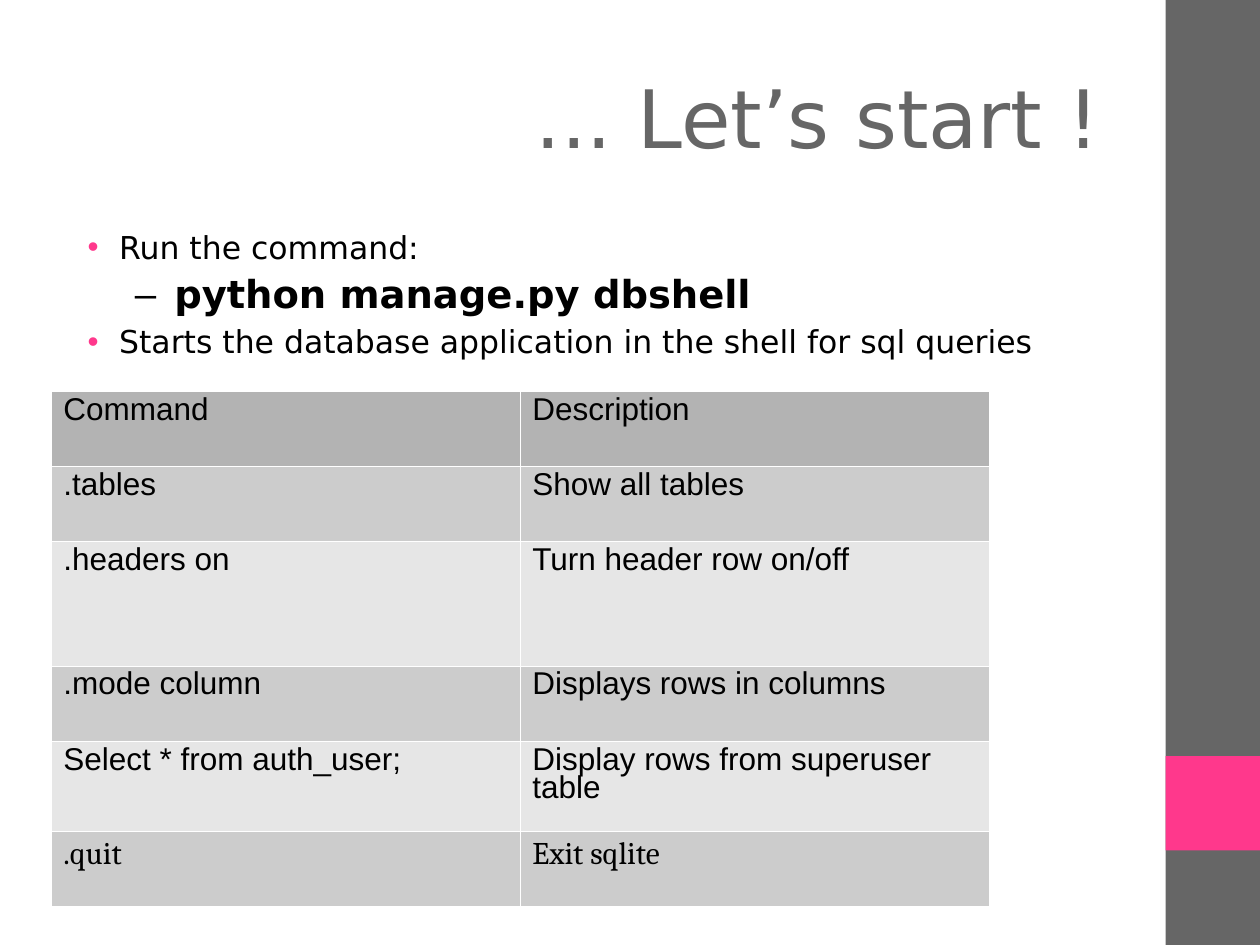
import pptx
import pptx.dml.color
import pptx.enum.shapes
import pptx.enum.text
import pptx.oxml
import pptx.oxml.ns
import pptx.util

Pt = pptx.util.Pt
COLORS = {
    "gray": "666666", "pink": "FF388C", "black": "000000", "white": "FFFFFF",
    "header": "B3B3B3", "dark_band": "CCCCCC", "light_band": "E6E6E6",
}
COMMANDS = [
    ("Command", "Description"),
    (".tables", "Show all tables"),
    (".headers on", "Turn header row on/off"),
    (".mode column", "Displays rows in columns"),
    ("Select * from auth_user;", "Display rows from superuser table"),
    (".quit", "Exit sqlite"),
]
ROW_HEIGHTS = [43, 43, 71, 43, 51.5, 43]
BULLETS = [
    ("Run the command:", 0),
    ("python manage.py dbshell", 1),
    ("Starts the database application in the shell for sql queries", 0),
]
BULLET_STYLES = [
    dict(mark="•", mark_color="pink", left=27, hang=18, size=18, bold=False),
    dict(mark="–", mark_color="black", left=58.5, hang=22.5, size=22, bold=True),
]


def rgb(name):
    return pptx.dml.color.RGBColor.from_string(COLORS[name])


def parse_xml(tag, content, attributes=""):
    namespace = pptx.oxml.ns.nsdecls("a")
    return pptx.oxml.parse_xml(f"<a:{tag} {namespace} {attributes}>{content}</a:{tag}>")


def write(para, text, font="DejaVu Sans", size=18, color="black", bold=False,
          spacing=1.0, align=pptx.enum.text.PP_ALIGN.LEFT):
    para.alignment = align
    para.line_spacing = spacing
    span = para.add_run()
    span.text = text
    span.font.name = font
    span.font.size = Pt(size)
    span.font.bold = bold
    span.font.color.rgb = rgb(color)


def add_text_frame(page, box):
    frame = page.shapes.add_textbox(*map(Pt, box)).text_frame
    frame.word_wrap = True
    return frame


def add_sidebar(page, box):
    left, top, width, height = box
    accent = (left, top + height * 0.8, width, width)
    for area, color in ((box, "gray"), (accent, "pink")):
        block = page.shapes.add_shape(
            pptx.enum.shapes.MSO_SHAPE.RECTANGLE, *map(Pt, area))
        block.shadow.inherit = False
        block.fill.solid()
        block.fill.fore_color.rgb = rgb(color)
        block.line.fill.background()


def add_title(page, box, text):
    frame = add_text_frame(page, box)
    frame.vertical_anchor = pptx.enum.text.MSO_ANCHOR.MIDDLE
    write(frame.paragraphs[0], text, size=46, color="gray",
          align=pptx.enum.text.PP_ALIGN.RIGHT)


def add_bullets(page, box):
    frame = add_text_frame(page, box)
    frame.margin_top = 0
    for index, (text, level) in enumerate(BULLETS):
        style = BULLET_STYLES[level]
        para = frame.add_paragraph() if index else frame.paragraphs[0]
        para.level = level
        para.space_before = Pt(5.5 if index else 0)
        write(para, text, size=style["size"], bold=style["bold"], spacing=0.9)
        properties = para._p.get_or_add_pPr()
        properties.set("marL", str(Pt(style["left"])))
        properties.set("indent", str(-Pt(style["hang"])))
        color = COLORS[style["mark_color"]]
        properties.append(parse_xml("buClr", f'<a:srgbClr val="{color}"/>'))
        properties.append(parse_xml("buFont", "", 'typeface="Arial"'))
        properties.append(parse_xml("buChar", "", f'char="{style["mark"]}"'))


def add_borders(cell):
    fill = f'<a:solidFill><a:srgbClr val="{COLORS["white"]}"/></a:solidFill>'
    properties = cell._tc.get_or_add_tcPr()
    for index, side in enumerate(("lnL", "lnR", "lnT", "lnB")):
        properties.insert(index, parse_xml(side, fill, f'w="{Pt(0.06)}"'))


def add_command_table(page, box):
    table = page.shapes.add_table(len(COMMANDS), 2, *map(Pt, box)).table
    for column in table.columns:
        column.width = Pt(box[2] / 2)
    for index, texts in enumerate(COMMANDS):
        table.rows[index].height = Pt(ROW_HEIGHTS[index])
        band = "dark_band" if index % 2 else "light_band"
        last = index == len(COMMANDS) - 1
        for cell, text in zip(table.rows[index].cells, texts):
            cell.fill.solid()
            cell.fill.fore_color.rgb = rgb(band if index else "header")
            write(cell.text_frame.paragraphs[0], text,
                  font="Cambria" if last else "Arial",
                  spacing=0.94 if last else 0.81)
            add_borders(cell)


def main():
    deck = pptx.Presentation()
    deck.slide_width, deck.slide_height = Pt(720), Pt(540)
    page = deck.slides.add_slide(deck.slide_layouts[6])
    add_sidebar(page, (666, 0, 54, 540))
    add_title(page, (36, 21.6, 600, 90), "... Let’s start !")
    add_bullets(page, (34, 132.5, 614, 386))
    add_command_table(page, (29, 223.5, 536, sum(ROW_HEIGHTS)))
    deck.save("out.pptx")


if __name__ == "__main__":
    main()
